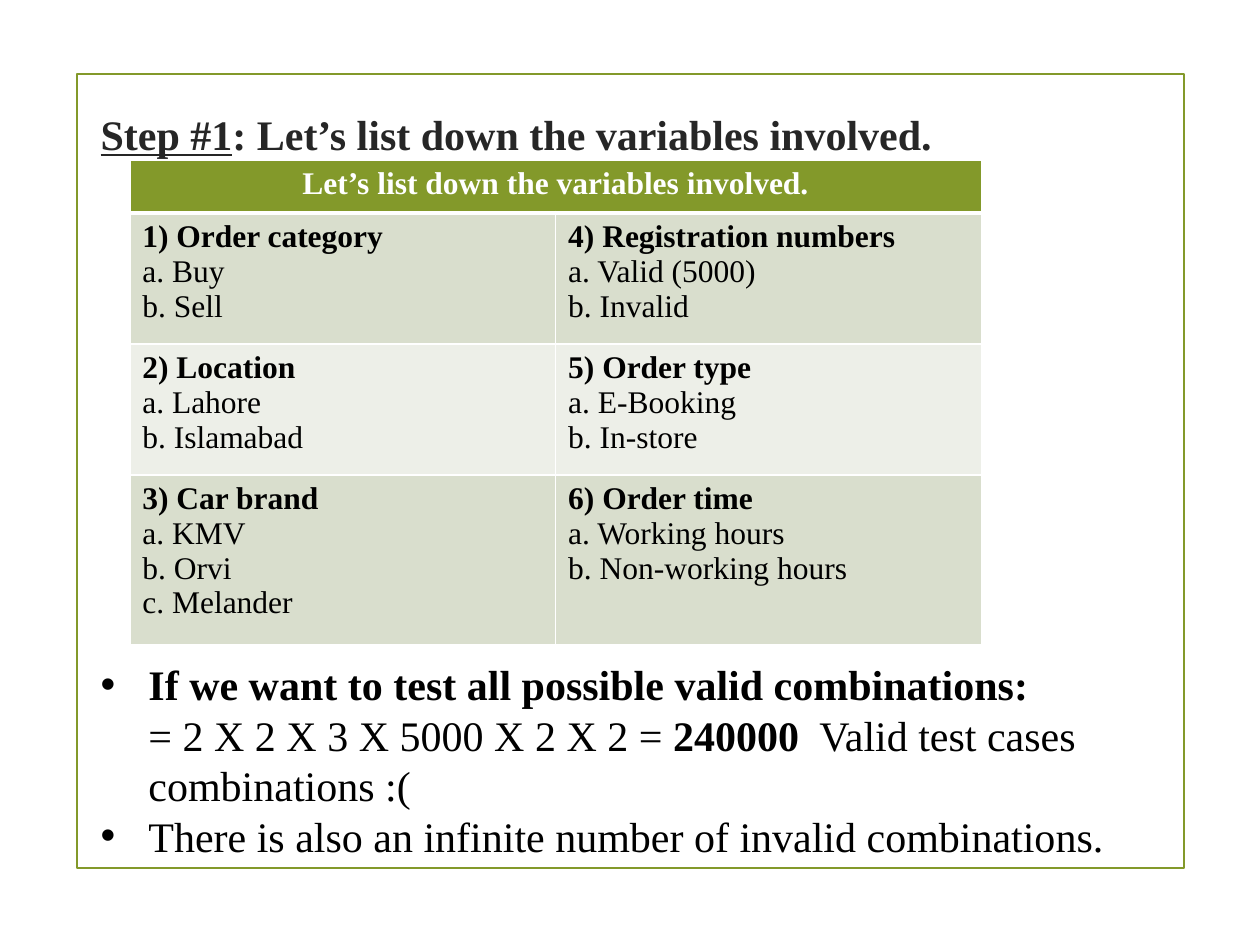
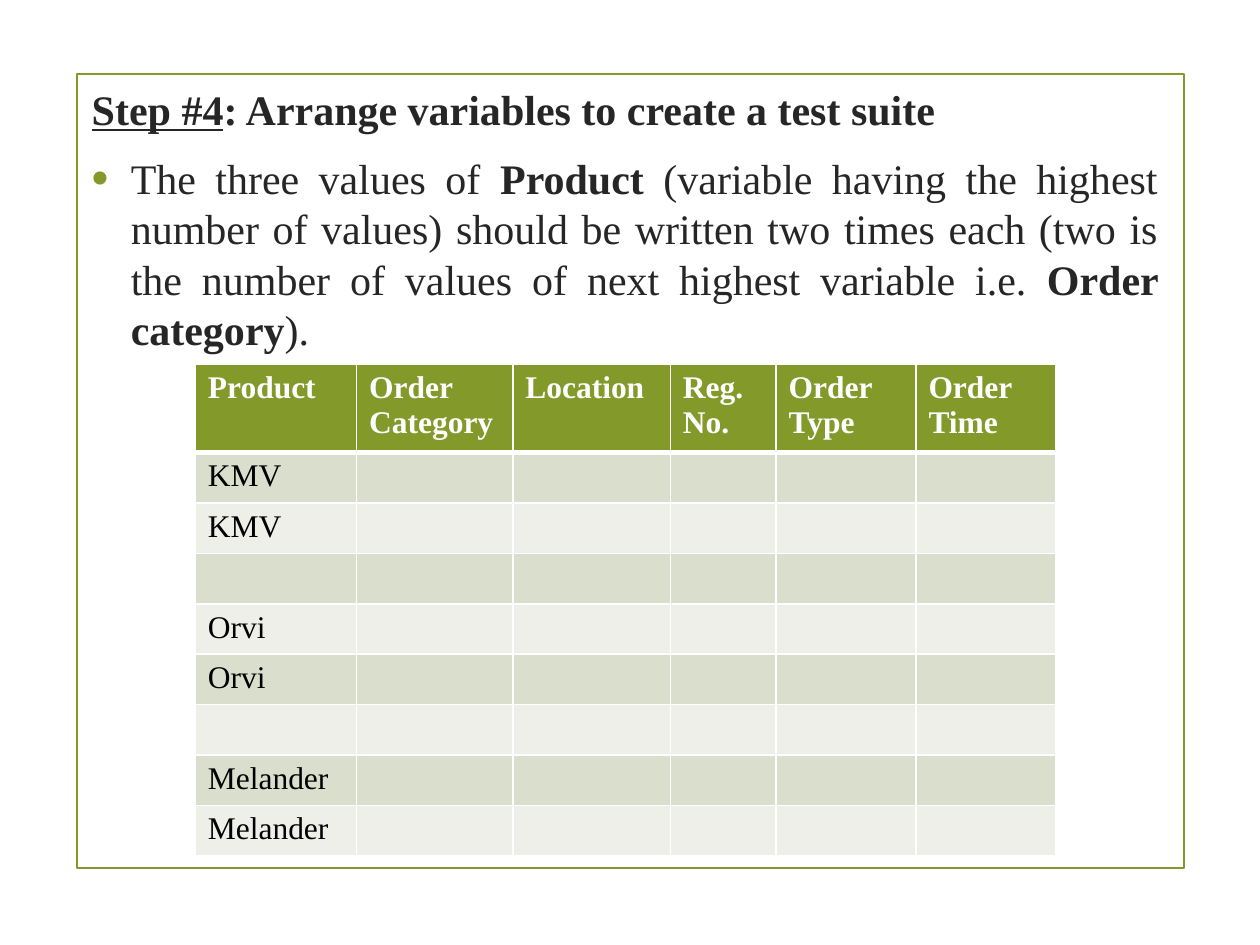
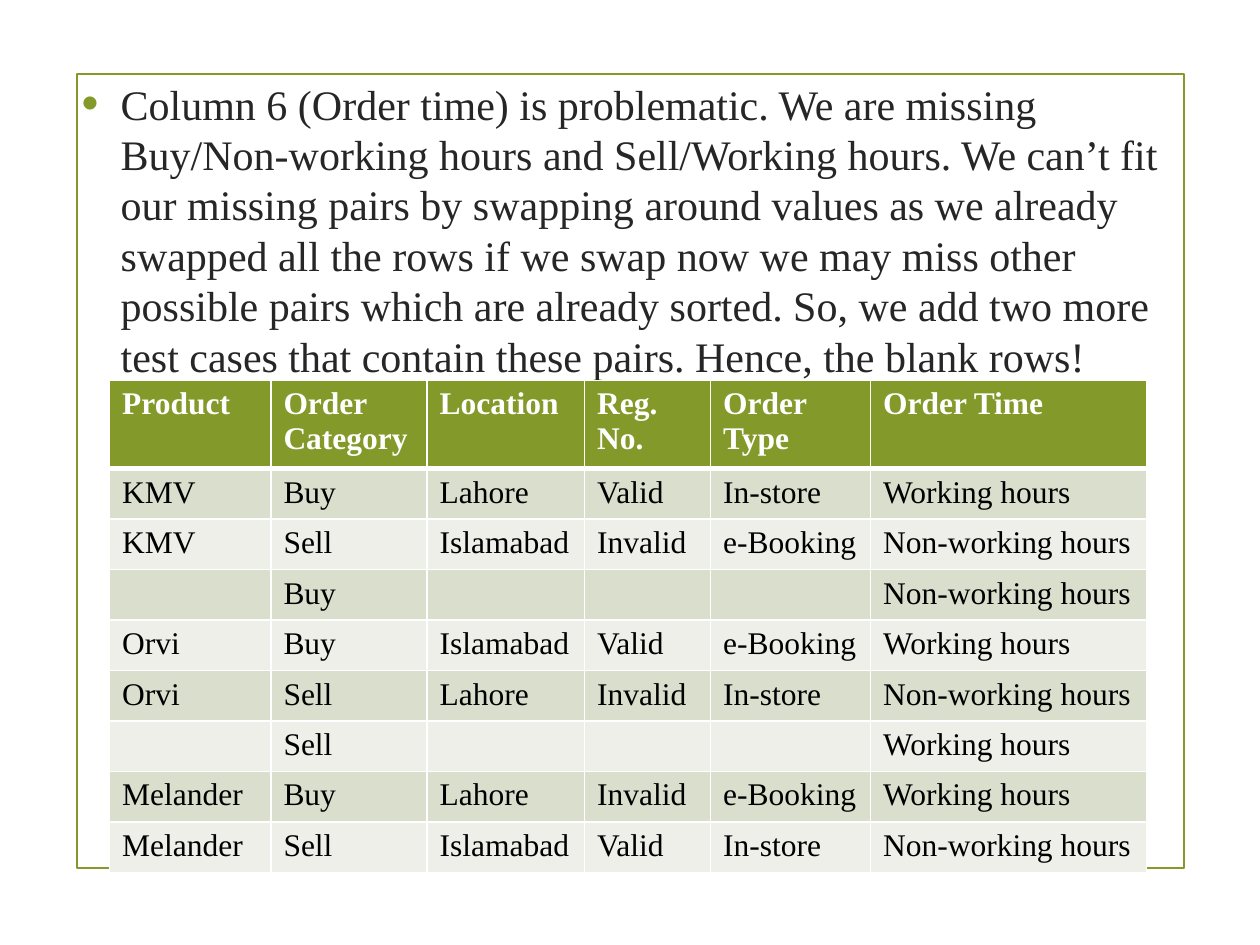
import pptx
import pptx.dml.color
import pptx.enum.shapes
import pptx.enum.text
import pptx.oxml.ns
import pptx.util
from lxml import etree

Inches = pptx.util.Inches
Pt = pptx.util.Pt
ALIGN = pptx.enum.text.PP_ALIGN
FONT = "Times New Roman"
COLOURS = {
    "olive": "83992A",
    "band_dark": "D9DECD",
    "band_light": "EDEFE8",
    "ink": "262626",
    "black": "000000",
    "white": "FFFFFF",
}
SPAN_FORMATS = {
    "plain": {"bold": False},
    "bold": {"bold": True},
    "underlined": {"bold": True, "underline": True},
}
BODY_SPACING = {"space_before": Pt(4.8), "space_after": Pt(6)}
CELL_SIZE = 18


def rgb(name):
    return pptx.dml.color.RGBColor.from_string(COLOURS[name])


def write_spans(para, spans, size, colour):
    """Write (text, format name) pairs; a newline in a text is a line break."""
    for text, format_name in spans:
        for number, line in enumerate(text.split("\n")):
            if number:
                para.add_line_break()
            if not line:
                continue
            span = para.add_run()
            span.text = line
            span.font.color.rgb = rgb(colour)
            values = {"name": FONT, "size": Pt(size)} | SPAN_FORMATS[format_name]
            for key, value in values.items():
                setattr(span.font, key, value)


deck = pptx.Presentation()
deck.slide_width, deck.slide_height = Inches(10), Inches(7.5)
pages = [deck.slides.add_slide(deck.slide_layouts[6]) for _ in range(3)]
variables_page, arrange_page, blank_rows_page = pages

for page in pages:
    frame = page.shapes.add_shape(
        pptx.enum.shapes.MSO_SHAPE.RECTANGLE,
        Inches(0.61), Inches(0.59), Inches(8.79), Inches(6.3))
    frame.shadow.inherit = False
    frame.fill.background()
    frame.line.color.rgb = rgb("olive")
    frame.line.width = Pt(1.25)

# Text boxes: each paragraph is (is bulleted, spans)
text_boxes = [
    {"page": variables_page, "place": (0.7, 0.81, 8.69, 0.5), "colour": "ink",
     "paragraphs": [
         (False, [("Step #1", "underlined"),
                  (": Let’s list down the variables involved.", "bold")])]},
    {"page": variables_page, "place": (0.7, 5.18, 8.69, 1.72), "colour": "black",
     "bullet": ("black", 100, 0.38), "spacing": {},
     "paragraphs": [
         (True, [("If we want to test all possible valid combinations:\n", "bold"),
                 ("= 2 X 2 X 3 X 5000 X 2 X 2 = ", "plain"),
                 ("240000", "bold"),
                 ("  Valid test cases combinations :(", "plain")]),
         (True, [("There is also an infinite number of invalid combinations.",
                  "plain")])]},
    {"page": arrange_page, "place": (0.63, 0.61, 8.66, 2.26), "colour": "ink",
     "align": ALIGN.JUSTIFY,
     "paragraphs": [
         (False, [("Step #4", "underlined"),
                  (": Arrange variables to create a test suite", "bold")]),
         (True, [("The three values of ", "plain"),
                 ("Product", "bold"),
                 (" (variable having the highest number of values) should be "
                  "written two times each (two is the number of values of next "
                  "highest variable i.e. ", "plain"),
                 ("Order category", "bold"),
                 (").", "plain")])]},
    {"page": blank_rows_page, "place": (0.55, 0.57, 8.94, 2.45), "colour": "ink",
     "paragraphs": [
         (True, [("Column 6 (Order time) is problematic. We are missing "
                  "Buy/Non-working hours and Sell/Working hours. We can’t fit our "
                  "missing pairs by swapping around values as we already swapped "
                  "all the rows if we swap now we may miss other possible pairs "
                  "which are already sorted. So, we add two more test cases that "
                  "contain these pairs. Hence, the blank rows!", "plain")])]},
]
for content in text_boxes:
    box = content["page"].shapes.add_textbox(*map(Inches, content["place"]))
    frame = box.text_frame
    frame.word_wrap = True
    bullet_colour, bullet_size, indent = content.get("bullet", ("olive", 115, 0.31))
    for number, (bulleted, spans) in enumerate(content["paragraphs"]):
        para = frame.add_paragraph() if number else frame.paragraphs[0]
        if bulleted:
            properties = para._p.get_or_add_pPr()
            properties.set("marL", str(Inches(indent)))
            properties.set("indent", str(-Inches(indent)))
            colour = etree.SubElement(properties, pptx.oxml.ns.qn("a:buClr"))
            etree.SubElement(colour, pptx.oxml.ns.qn("a:srgbClr"),
                             val=COLOURS[bullet_colour])
            for tag, values in {"a:buSzPct": {"val": str(bullet_size * 1000)},
                                "a:buFont": {"typeface": "Arial"},
                                "a:buChar": {"char": "•"}}.items():
                etree.SubElement(properties, pptx.oxml.ns.qn(tag), values)
        for key, value in content.get("spacing", BODY_SPACING).items():
            if number or key != "space_before":
                setattr(para, key, value)
        para.alignment = content.get("align", ALIGN.LEFT)
        write_spans(para, spans, 24, content["colour"])

# Tables: a cell holding a newline has a bold first line
headings = ["Product", "Order Category", "Location", "Reg. No.", "Order Type",
            "Order Time"]
products = ["KMV", "KMV", "", "Orvi", "Orvi", "", "Melander", "Melander"]
test_values = [
    ["Buy", "Lahore", "Valid", "In-store", "Working hours"],
    ["Sell", "Islamabad", "Invalid", "e-Booking", "Non-working hours"],
    ["Buy", "", "", "", "Non-working hours"],
    ["Buy", "Islamabad", "Valid", "e-Booking", "Working hours"],
    ["Sell", "Lahore", "Invalid", "In-store", "Non-working hours"],
    ["Sell", "", "", "", "Working hours"],
    ["Buy", "Lahore", "Invalid", "e-Booking", "Working hours"],
    ["Sell", "Islamabad", "Valid", "In-store", "Non-working hours"],
]
suite_height, header_height = 3.73, 0.66
row_height = (suite_height - header_height) / len(products)
suite_heights = [header_height] + [row_height] * len(products)
tables = [
    {"page": variables_page, "corner": (1.03, 1.27), "widths": [3.38, 3.38],
     "heights": [0.42, 1.04, 1.04, 1.35],
     "rows": [
         ["Let’s list down the variables involved.", ""],
         ["1) Order category\na. Buy\nb. Sell",
          "4) Registration numbers\na. Valid (5000)\nb. Invalid"],
         ["2) Location\na. Lahore\nb. Islamabad",
          "5) Order type\na. E-Booking\nb. In-store"],
         ["3) Car brand\na. KMV\nb. Orvi\nc. Melander",
          "6) Order time\na. Working hours\nb. Non-working hours"]]},
    {"page": arrange_page, "corner": (1.55, 2.89),
     "widths": [1.28, 1.24, 1.25, 0.84, 1.11, 1.11], "heights": suite_heights,
     "rows": [headings] + [[product] + [""] * 5 for product in products]},
    {"page": blank_rows_page, "corner": (0.87, 3.02),
     "widths": [1.28, 1.24, 1.25, 1, 1.27, 2.19], "heights": suite_heights,
     "rows": [headings] + [[product] + values
                           for product, values in zip(products, test_values)]},
]
for content in tables:
    widths, heights = content["widths"], content["heights"]
    size = (sum(widths), sum(heights))
    table = content["page"].shapes.add_table(
        len(heights), len(widths), *map(Inches, content["corner"] + size)).table
    for column, width in zip(table.columns, widths):
        column.width = Inches(width)
    for row, height in zip(table.rows, heights):
        row.height = Inches(height)
    for row_number, texts in enumerate(content["rows"]):
        is_header = row_number == 0
        band = "band_dark" if row_number % 2 else "band_light"
        for column_number, text in enumerate(texts):
            cell = table.cell(row_number, column_number)
            para = cell.text_frame.paragraphs[0]
            first_line, line_break, rest = text.partition("\n")
            first_format = "bold" if is_header or line_break else "plain"
            write_spans(para, [(first_line + line_break, first_format),
                               (rest, "plain")],
                        CELL_SIZE, "white" if is_header else "black")
            if not text:
                # An empty cell takes its line height from the end mark
                end_mark = etree.SubElement(
                    para._p, pptx.oxml.ns.qn("a:endParaRPr"), sz=str(CELL_SIZE * 100))
                etree.SubElement(end_mark, pptx.oxml.ns.qn("a:latin"), typeface=FONT)
            properties = cell._tc.get_or_add_tcPr()
            for side in ("L", "R", "T", "B"):
                under_header = (row_number, side) in [(0, "B"), (1, "T")]
                border = etree.SubElement(
                    properties, pptx.oxml.ns.qn("a:ln" + side),
                    w=str(Pt(3 if under_header else 1)))
                fill = etree.SubElement(border, pptx.oxml.ns.qn("a:solidFill"))
                etree.SubElement(fill, pptx.oxml.ns.qn("a:srgbClr"),
                                 val=COLOURS["white"])
            cell.fill.solid()
            cell.fill.fore_color.rgb = rgb("olive" if is_header else band)
    if content["page"] is variables_page:
        table.cell(0, 0).merge(table.cell(0, 1))
        table.cell(0, 0).text_frame.paragraphs[0].alignment = ALIGN.CENTER

deck.save("out.pptx")
